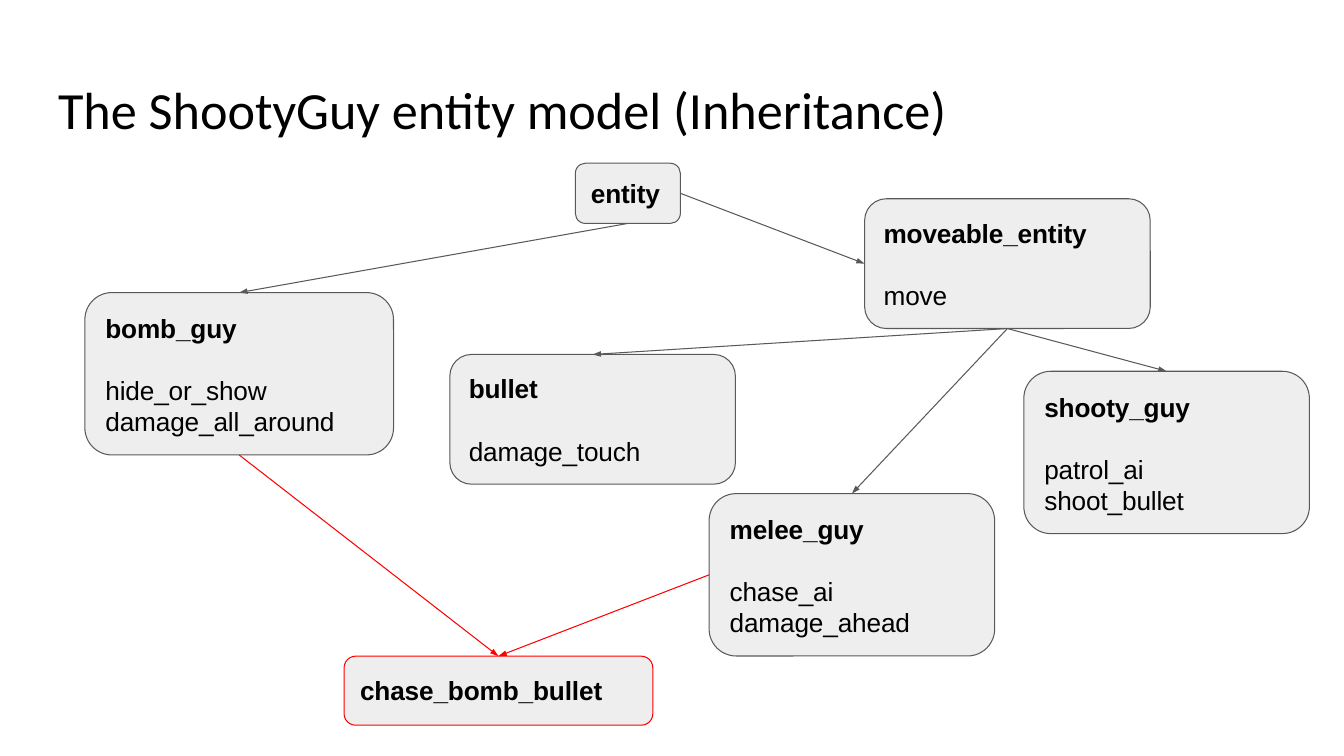
from pptx import Presentation
from pptx.dml.color import RGBColor
from pptx.enum.shapes import MSO_CONNECTOR as Connector, MSO_SHAPE as Shape
from pptx.enum.text import MSO_ANCHOR as Anchor, PP_ALIGN as Align
from pptx.oxml.ns import qn
from pptx.util import Pt
from lxml.etree import SubElement

TITLE = "The ShootyGuy entity model (Inheritance)"
COLORS = {"text": "000000", "box": "EEEEEE", "normal": "595959", "conflict": "FF0000"}

# class name: (left, top, width, height), methods, line colour
CLASSES = {
    "entity": ((411, 116.6, 75, 43), [], "normal"),
    "moveable_entity": ((617.6, 142, 204, 92.7), ["move"], "normal"),
    "bomb_guy": ((60.6, 209, 220.5, 116), ["hide_or_show", "damage_all_around"], "normal"),
    "bullet": ((321.3, 253.2, 204, 92.7), ["damage_touch"], "normal"),
    "shooty_guy": ((731.3, 265.2, 204, 116), ["patrol_ai", "shoot_bullet"], "normal"),
    "melee_guy": ((506.5, 352.6, 204, 116), ["chase_ai", "damage_ahead"], "normal"),
    "chase_bomb_bullet": ((245.8, 468.7, 220.5, 49.3), [], "conflict"),
}

TOP, LEFT, BOTTOM, RIGHT = range(4)
# parent, side, child, side, line colour
ARROWS = [
    ("entity", BOTTOM, "bomb_guy", TOP, "normal"),
    ("entity", RIGHT, "moveable_entity", LEFT, "normal"),
    ("moveable_entity", BOTTOM, "bullet", TOP, "normal"),
    ("moveable_entity", BOTTOM, "melee_guy", TOP, "normal"),
    ("moveable_entity", BOTTOM, "shooty_guy", TOP, "normal"),
    ("bomb_guy", BOTTOM, "chase_bomb_bullet", TOP, "conflict"),
    ("melee_guy", LEFT, "chase_bomb_bullet", TOP, "conflict"),
]

LINE_WIDTH = Pt(0.75)
LINE_PITCH = Pt(22)
METHODS_GAP = Pt(22.5)
INSET = Pt(9)


def color(name):
    return RGBColor.from_string(COLORS[name])


def format_runs(paragraph, font_name, size, bold=False, spacing=0):
    """Format every run; spacing is in hundredths of a point."""
    for run in paragraph.runs:
        run.font.name = font_name
        run.font.size = Pt(size)
        run.font.bold = bold
        run.font.color.rgb = color("text")
        run._r.get_or_add_rPr().set("spc", str(spacing))


def set_insets(frame, inset):
    frame.margin_left = frame.margin_right = inset
    frame.margin_top = frame.margin_bottom = inset
    frame.word_wrap = True


def add_title(slide):
    frame = slide.shapes.add_textbox(Pt(41.5), Pt(54), Pt(693), Pt(47)).text_frame
    set_insets(frame, 0)
    frame.vertical_anchor = Anchor.MIDDLE
    frame.text = TITLE
    format_runs(frame.paragraphs[0], "Calibri", 37.3)


def add_class_box(slide, name, bounds, methods, line_color):
    shape = slide.shapes.add_shape(Shape.ROUNDED_RECTANGLE, *map(Pt, bounds))
    shape.shadow.inherit = False
    shape.fill.solid()
    shape.fill.fore_color.rgb = color("box")
    shape.line.color.rgb = color(line_color)
    shape.line.width = LINE_WIDTH
    frame = shape.text_frame
    set_insets(frame, INSET)
    frame.vertical_anchor = Anchor.TOP if methods else Anchor.MIDDLE
    frame.text = "\n".join([name, *methods])
    for index, paragraph in enumerate(frame.paragraphs):
        paragraph.alignment = Align.LEFT
        paragraph.line_spacing = LINE_PITCH
        if index == 1:
            paragraph.space_before = METHODS_GAP
        format_runs(paragraph, "Arial", 18.7, bold=index == 0, spacing=-10)
    return shape


def add_arrow(slide, parent, parent_side, child, child_side, line_color):
    connector = slide.shapes.add_connector(Connector.STRAIGHT, 0, 0, 0, 0)
    connector.begin_connect(parent, parent_side)
    connector.end_connect(child, child_side)
    connector.line.color.rgb = color(line_color)
    connector.line.width = LINE_WIDTH
    properties = connector.element.spPr
    outline = properties.find(qn("a:ln"))
    SubElement(outline, qn("a:tailEnd"), type="triangle", w="sm", len="med")
    SubElement(properties, qn("a:effectLst"))


def main():
    presentation = Presentation()
    presentation.slide_width, presentation.slide_height = Pt(960), Pt(540)
    slide = presentation.slides.add_slide(presentation.slide_layouts[6])
    add_title(slide)
    boxes = {name: add_class_box(slide, name, *details) for name, details in CLASSES.items()}
    for parent, parent_side, child, child_side, line_color in ARROWS:
        add_arrow(slide, boxes[parent], parent_side, boxes[child], child_side, line_color)
    presentation.save("out.pptx")


if __name__ == "__main__":
    main()
